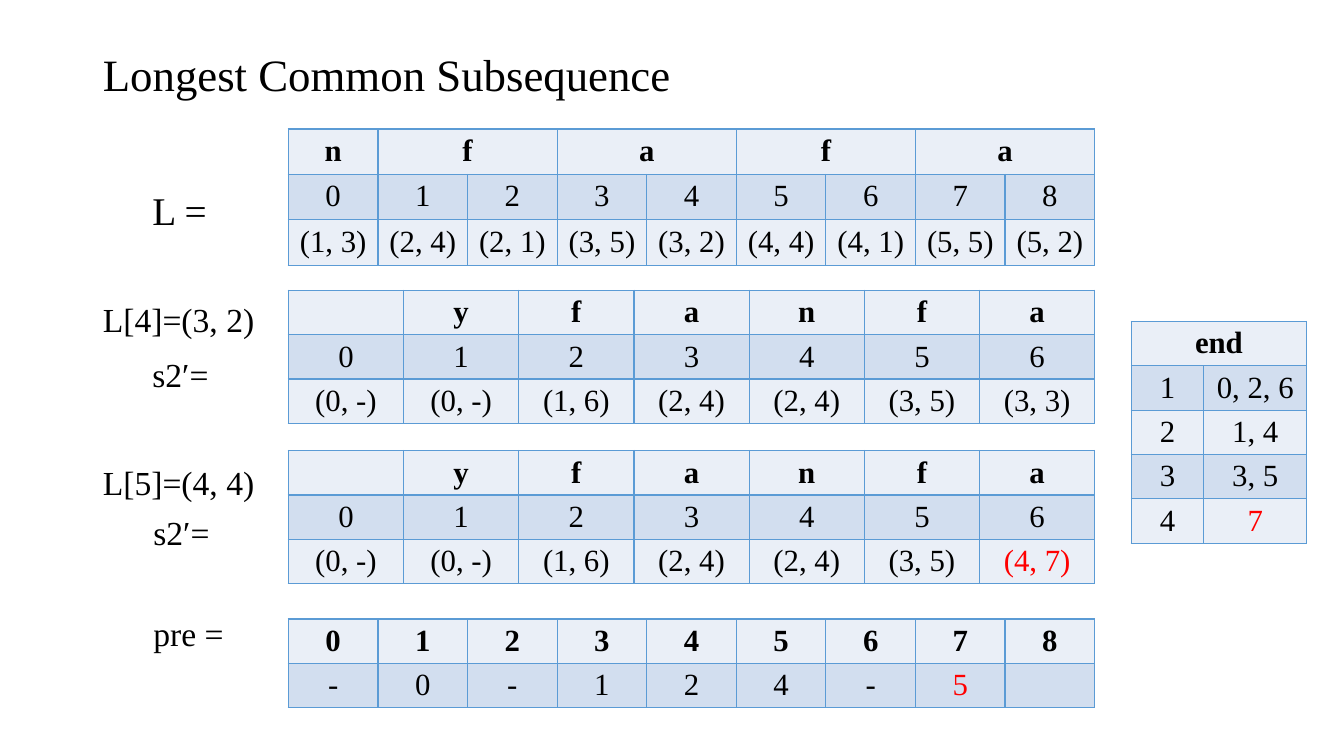
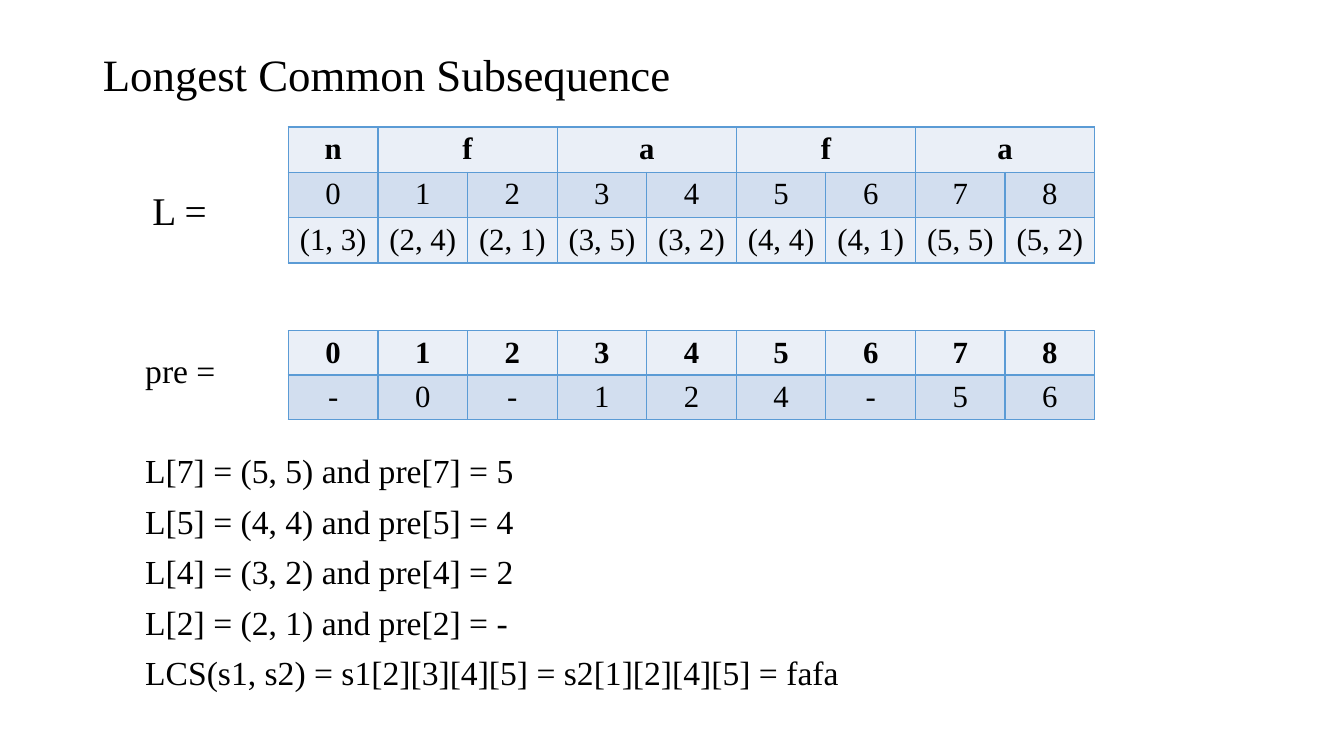
"""Build two slides that trace a longest common subsequence."""
import pptx
import pptx.dml.color
import pptx.enum.text
import pptx.oxml
import pptx.oxml.ns
import pptx.util
from pptx.util import Inches, Pt

FONT = "Times New Roman"
BLACK = pptx.dml.color.RGBColor(0x00, 0x00, 0x00)
RED = pptx.dml.color.RGBColor(0xFF, 0x00, 0x00)
BORDER = pptx.dml.color.RGBColor(0x5B, 0x9B, 0xD5)
BANDS = (pptx.dml.color.RGBColor(0xEA, 0xEF, 0xF7),
         pptx.dml.color.RGBColor(0xD2, 0xDE, 0xEF))
TITLE = "Longest Common Subsequence"
TABLE_LEFT = 2.86
TABLE_WIDTH = 8
ROW_HEIGHT = 0.44

PAIRS = [
    ["n", "f", None, "a", None, "f", None, "a", None],
    list("012345678"),
    ["(1, 3)", "(2, 4)", "(2, 1)", "(3, 5)", "(3, 2)",
     "(4, 4)", "(4, 1)", "(5, 5)", "(5, 2)"],
]
SEQUENCE = [["", *"yfanfa"], list("0123456")]
STATES = ["(0, -)", "(0, -)", "(1, 6)", "(2, 4)", "(2, 4)", "(3, 5)"]
ENDS = [["end", None], ["1", "0, 2, 6"], ["2", "1, 4"], ["3", "3, 5"], ["4", "7"]]


def set_font(paragraph, size, color=BLACK, bold=False):
    """Format a whole paragraph."""
    font = paragraph.font
    font.name, font.size, font.bold = FONT, Pt(size), bold
    font.color.rgb = color


def set_borders(cell):
    """Outline a table cell on all four sides."""
    properties = cell._tc.get_or_add_tcPr()
    namespace = pptx.oxml.ns.nsdecls("a")
    for index, side in enumerate(("lnL", "lnR", "lnT", "lnB")):
        properties.insert(index, pptx.oxml.parse_xml(
            f'<a:{side} {namespace} w="{Pt(1)}"><a:solidFill>'
            f'<a:srgbClr val="{BORDER}"/></a:solidFill></a:{side}>'))


def add_grid(page, top, rows, left=TABLE_LEFT, widths=None,
             row_height=ROW_HEIGHT, red=None):
    """Add a banded table; None joins a cell to the one on its left."""
    count = len(rows[0])
    widths = widths or [TABLE_WIDTH / count] * count
    table = page.shapes.add_table(
        len(rows), count, Inches(left), Inches(top),
        Inches(sum(widths)), Inches(row_height * len(rows))).table
    for column, width in zip(table.columns, widths):
        column.width = Inches(width)
    for row_index, row in enumerate(rows):
        table.rows[row_index].height = Inches(row_height)
        for column_index, text in enumerate(row):
            cell = table.cell(row_index, column_index)
            cell.fill.solid()
            cell.fill.fore_color.rgb = BANDS[row_index % 2]
            set_borders(cell)
            if text is None:
                table.cell(row_index, column_index - 1).merge(cell)
                continue
            cell.text = text
            paragraph = cell.text_frame.paragraphs[0]
            paragraph.alignment = pptx.enum.text.PP_ALIGN.CENTER
            color = RED if (row_index, column_index) == red else BLACK
            set_font(paragraph, 22, color, bold=row_index == 0)


def add_pre(page, top, values, red=None):
    """Add the table of predecessors."""
    add_grid(page, top, [list("012345678"), values], red=red)


def add_page(deck, lines):
    """Add a titled slide; each line is text, indent, space before and size."""
    page = deck.slides.add_slide(deck.slide_layouts[1])
    title, body = page.placeholders
    title.text_frame.text = TITLE
    paragraph = title.text_frame.paragraphs[0]
    paragraph.alignment = pptx.enum.text.PP_ALIGN.LEFT
    paragraph.line_spacing = 0.9
    set_font(paragraph, 32)
    frame = body.text_frame
    frame.text = "\n".join(line[0] for line in lines)
    for paragraph, (_, indent, before, size) in zip(frame.paragraphs, lines):
        properties = paragraph._p.get_or_add_pPr()
        properties.set("marL", str(Inches(indent)))
        properties.set("indent", "0")
        properties.append(pptx.oxml.parse_xml(
            f'<a:buNone {pptx.oxml.ns.nsdecls("a")}/>'))
        paragraph.line_spacing = Pt(26)
        paragraph.space_before = Pt(before)
        set_font(paragraph, size)
    for shape in (title, body):
        shape.text_frame.auto_size = pptx.enum.text.MSO_AUTO_SIZE.NONE
    return page


def prepare_layout(deck):
    """Set the slide size and the shared placeholder positions."""
    deck.slide_width, deck.slide_height = Inches(13.33), Inches(7.5)
    title, body = list(deck.slide_layouts[1].placeholders)[:2]
    for shape, top, height in ((title, 0.4, 0.73), (body, 1.9, 5.35)):
        shape.left, shape.top = Inches(0.92), Inches(top)
        shape.width, shape.height = Inches(11.5), Inches(height)


def build_trace(deck):
    """Add the slide with the intermediate tables."""
    page = add_page(deck, [
        ("L =", 0.49, 0, 28),
        ("L[4]=(3, 2)", 0, 50, 24),
        ("s2′=", 0.49, 13, 24),
        ("L[5]=(4, 4)", 0, 51, 24),
        ("s2′=", 0.5, 10, 24),
        ("pre =", 0.5, 46, 24),
    ])
    add_grid(page, 1.28, PAIRS, row_height=0.45)
    add_grid(page, 2.88, SEQUENCE + [STATES + ["(3, 3)"]])
    add_grid(page, 4.47, SEQUENCE + [STATES + ["(4, 7)"]], red=(2, 6))
    add_pre(page, 6.14, [*"-0-124-5", ""], red=(1, 7))
    add_grid(page, 3.19, ENDS, left=11.22, widths=[0.72, 1.02], red=(4, 1))


def build_result(deck):
    """Add the slide that reads off the subsequence."""
    steps = [
        "L[5] = (4, 4) and pre[5] = 4",
        "L[4] = (3, 2) and pre[4] = 2",
        "L[2] = (2, 1) and pre[2] = -",
        "LCS(s1, s2) = s1[2][3][4][5] = s2[1][2][4][5] = fafa",
    ]
    page = add_page(deck, [
        ("L =", 0.49, 0, 28),
        ("pre =", 0.42, 86, 24),
        ("L[7] = (5, 5) and pre[7] = 5", 0.42, 46, 24),
        *((step, 0.42, 10, 24) for step in steps),
    ])
    add_grid(page, 1.26, PAIRS, row_height=0.45)
    add_pre(page, 3.28, list("-0-124-56"))


def main():
    """Build and save the deck."""
    deck = pptx.Presentation()
    prepare_layout(deck)
    build_trace(deck)
    build_result(deck)
    deck.save("out.pptx")


if __name__ == "__main__":
    main()
